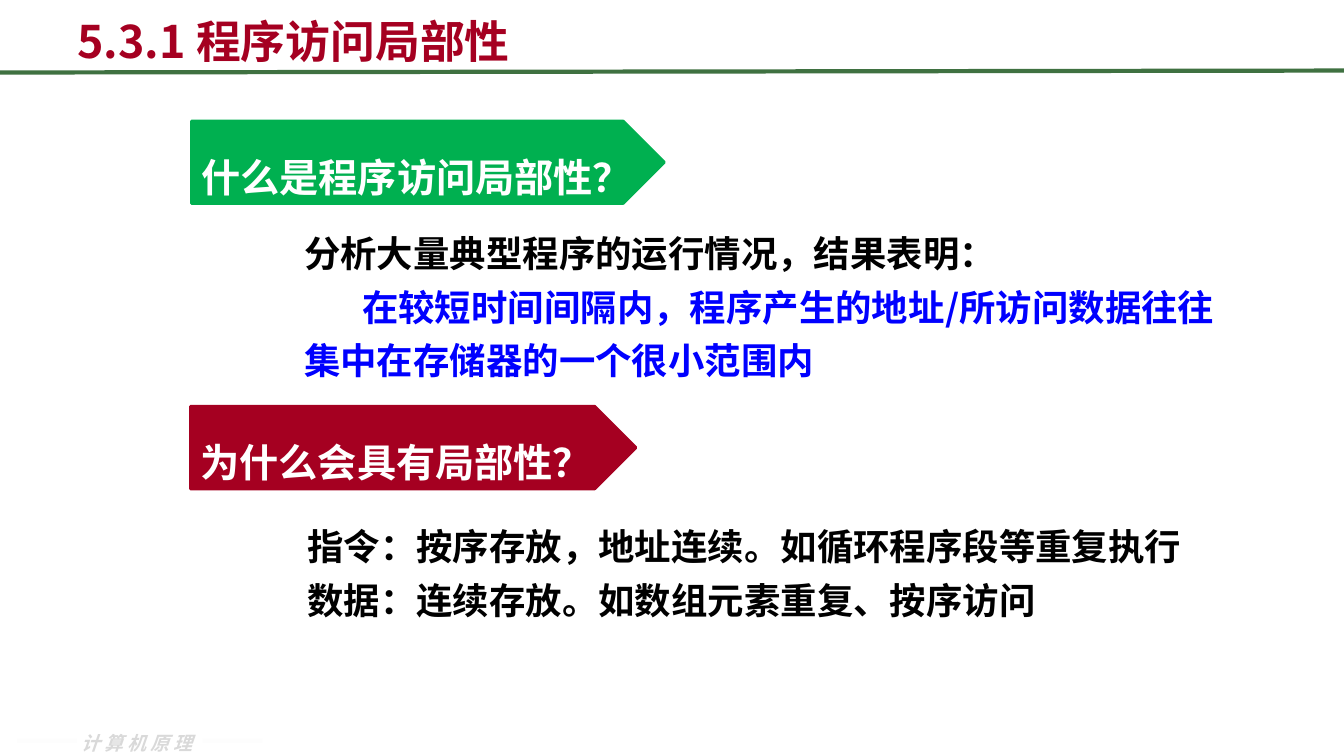
from pptx import Presentation
from pptx.dml.color import RGBColor
from pptx.enum.shapes import MSO_CONNECTOR as LINE, MSO_SHAPE as SHAPE
from pptx.enum.text import MSO_ANCHOR as ANCHOR
from pptx.oxml.ns import qn
from pptx.util import Pt
from lxml import etree

SANS = "Noto Sans CJK SC"


def color(value):
    return RGBColor.from_string(value)


def write(box, lines, font, anchor=ANCHOR.TOP, spacing=1.0, margin=0):
    """Fill a box with (text, colour, first-line indent) lines."""
    frame = box.text_frame
    frame.word_wrap = True
    frame.vertical_anchor = anchor
    for number, (text, ink, indent) in enumerate(lines):
        para = frame.add_paragraph() if number else frame.paragraphs[0]
        para.line_spacing = spacing
        if number:
            para.space_before = Pt(1.3)
        properties = para._p.get_or_add_pPr()
        properties.set("marL", str(Pt(margin)))
        properties.set("indent", str(Pt(indent)))
        properties.set("algn", "l")
        span = para.add_run()
        span.text = text
        for name, value in font.items():
            setattr(span.font, name, value)
        span.font.color.rgb = color(ink)
        east_asian = etree.SubElement(span._r.get_or_add_rPr(), qn("a:ea"))
        east_asian.set("typeface", font["name"])


deck = Presentation()
deck.slide_width, deck.slide_height = Pt(960), Pt(540)
page = deck.slides.add_slide(deck.slide_layouts[6])

# Footer: course name between two faint bars
footer = page.shapes.add_textbox(Pt(51), Pt(519), Pt(105), Pt(24.5))
write(footer, [("计算机原理", "D9D9D9", 0)],
      {"name": SANS, "size": Pt(13.5), "bold": True, "italic": True})
footer.text_frame.paragraphs[0].runs[0]._r.get_or_add_rPr().set("spc", "300")
for left in (12.2, 144.7):
    bar = page.shapes.add_shape(SHAPE.RECTANGLE, Pt(left), Pt(527.8), Pt(42.5), Pt(2.9))
    bar.shadow.inherit = False
    bar.fill.solid()
    bar.fill.fore_color.rgb = color("FDFDFD")
    bar.line.fill.background()

# Title and the rule below it
rule = page.shapes.add_connector(LINE.STRAIGHT, Pt(0), Pt(51.8), Pt(960), Pt(50.4))
rule.line.color.rgb = color("3F7141")
rule.line.width = Pt(3)
etree.SubElement(rule._element.spPr, qn("a:effectLst"))
title = page.shapes.add_textbox(Pt(48.2), Pt(-2.2), Pt(864), Pt(54))
write(title, [("5.3.1 程序访问局部性", "A50021", 0)],
      {"name": SANS, "size": Pt(32), "bold": True}, ANCHOR.BOTTOM)

# Question banners
banners = [
    ("什么是程序访问局部性？", "00B050", 136.8, 86.4, 337.7),
    ("为什么会具有局部性？", "A50021", 136.1, 290.2, 318.2),
]
for question, fill, left, top, width in banners:
    banner = page.shapes.add_shape(SHAPE.PENTAGON, Pt(left), Pt(top), Pt(width), Pt(59))
    banner.shadow.inherit = False
    banner.fill.solid()
    banner.fill.fore_color.rgb = color(fill)
    banner.line.color.rgb = color(fill)
    banner.line.width = Pt(2)
    banner.text_frame.margin_right = 0
    write(banner, [(question, "FFFFFF", 0)],
          {"name": "DejaVu Sans", "size": Pt(28), "bold": True}, ANCHOR.MIDDLE, 1.6)

# Answers
answers = [
    (174.2, 155.5, 717.8, 119.5, [
        ("分析大量典型程序的运行情况，结果表明：", "000000", 0),
        ("在较短时间间隔内，程序产生的地址/所访问数据往往集中在存储器的一个很小范围内",
         "0000FF", 41.4),
    ]),
    (176.4, 364.3, 711.4, 82, [
        ("指令：按序存放，地址连续。如循环程序段等重复执行", "000000", 0),
        ("数据：连续存放。如数组元素重复、按序访问", "000000", 0),
    ]),
]
for left, top, width, height, lines in answers:
    answer = page.shapes.add_textbox(Pt(left), Pt(top), Pt(width), Pt(height))
    write(answer, lines, {"name": SANS, "size": Pt(26), "bold": True},
          spacing=1.2, margin=36)

deck.save("out.pptx")
